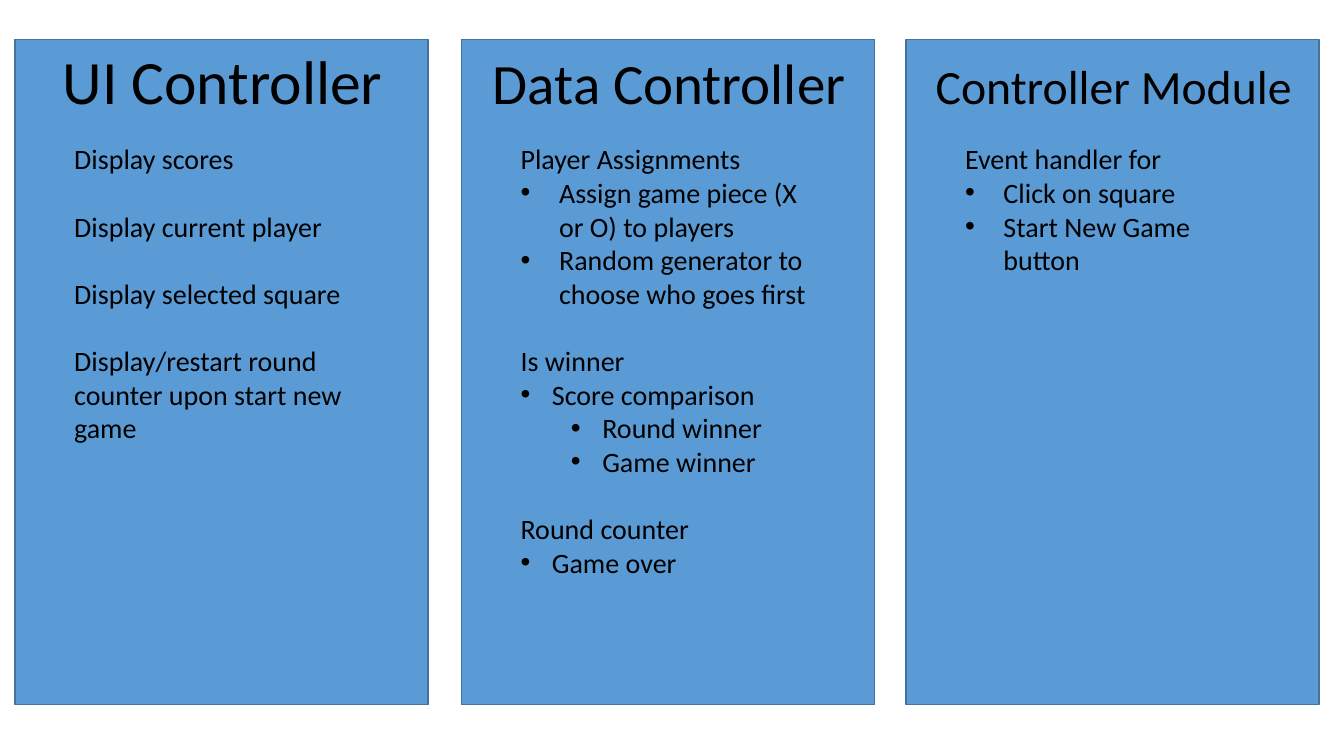
from lxml import etree
from pptx import Presentation
from pptx.dml.color import RGBColor
from pptx.enum.shapes import MSO_SHAPE
from pptx.enum.text import MSO_ANCHOR, PP_ALIGN
from pptx.oxml.ns import qn
from pptx.util import Cm, Pt

RECT = MSO_SHAPE.RECTANGLE
TOP, BOTTOM = MSO_ANCHOR.TOP, MSO_ANCHOR.BOTTOM
CENTER = PP_ALIGN.CENTER
BLUE = RGBColor(0x5B, 0x9B, 0xD5)
DARK_BLUE = RGBColor(0x43, 0x73, 0x9E)
BLACK = RGBColor(0, 0, 0)

# Bullet kinds: level, left margin and hanging indent in cm
WIDE = (0, 0.97, 0.97)
NARROW = (0, 0.79, 0.79)
NESTED = (1, 2.06, 0.79)

# Left edge, title, title size, title top, title line spacing, body height, groups
PANELS = [
    (0.38, "UI Controller", 44, 0.99, 0.9, 8.81, [
        [("Display scores", None)],
        [("Display current player", None)],
        [("Display selected square", None)],
        [("Display/restart round counter upon start new game", None)],
    ]),
    (11.63, "Data Controller", 40.7, 0.97, 0.9, 13.08, [
        [("Player Assignments", None),
         ("Assign game piece (X or O) to players", WIDE),
         ("Random generator to choose who goes first", WIDE)],
        [("Is winner", None),
         ("Score comparison", NARROW),
         ("Round winner", NESTED),
         ("Game winner", NESTED)],
        [("Round counter", None),
         ("Game over", NARROW)],
    ]),
    (22.83, "Controller Module", 34.1, 0.86, 0.7, 3.68, [
        [("Event handler for", None),
         ("Click on square", WIDE),
         ("Start New Game button", WIDE)],
    ]),
]


class Deck:
    font = "Calibri"
    body_size = 20
    group_gap = Pt(24)

    def __init__(self):
        self.prs = Presentation()
        self.prs.slide_width, self.prs.slide_height = Cm(33.87), Cm(19.05)
        self.s = self.prs.slides.add_slide(self.prs.slide_layouts[6])

    def panel(self, left):
        sp = self.s.shapes.add_shape(RECT, Cm(left), Cm(0.99), Cm(10.41), Cm(16.76))
        sp.shadow.inherit = False
        sp.fill.solid()
        sp.fill.fore_color.rgb = BLUE
        sp.line.color.rgb = DARK_BLUE
        sp.line.width = Pt(1)

    def text_frame(self, left, top, width, height, anchor):
        tf = self.s.shapes.add_textbox(Cm(left), Cm(top), Cm(width), Cm(height)).text_frame
        tf.word_wrap = True
        tf.vertical_anchor = anchor
        return tf

    def fill_paragraph(self, p, text, size, **paragraph_format):
        for name, value in paragraph_format.items():
            setattr(p, name, value)
        r = p.add_run()
        r.text = text
        for name, value in {"name": self.font, "size": Pt(size)}.items():
            setattr(r.font, name, value)
        r.font.color.rgb = BLACK

    def title(self, left, top, text, size, spacing):
        tf = self.text_frame(left, top, 9.63, 2.11, BOTTOM)
        self.fill_paragraph(tf.paragraphs[0], text, size,
                            alignment=CENTER, line_spacing=spacing)

    def bullet(self, p, kind):
        level, margin, hang = kind
        p.level = level
        pPr = p._p.get_or_add_pPr()
        pPr.set("marL", str(Cm(margin)))
        pPr.set("indent", str(-Cm(hang)))
        etree.SubElement(pPr, qn("a:buFont")).set("typeface", "Arial")
        etree.SubElement(pPr, qn("a:buChar")).set("char", "•")

    def body(self, left, height, groups):
        """Add groups of lines, with one line's gap between groups."""
        tf = self.text_frame(left, 3.45, 7.95, height, TOP)
        p = tf.paragraphs[0]
        for g, group in enumerate(groups):
            for i, (text, kind) in enumerate(group):
                if g or i:
                    p = tf.add_paragraph()
                gap = self.group_gap if g and not i else Pt(0)
                self.fill_paragraph(p, text, self.body_size, space_before=gap)
                if kind:
                    self.bullet(p, kind)


def main():
    deck = Deck()
    for left, *_ in PANELS:
        deck.panel(left)
    for left, title, size, top, spacing, height, groups in PANELS:
        deck.title(left + 0.42, top, title, size, spacing)
        deck.body(left + 1.24, height, groups)
    deck.prs.save("out.pptx")


if __name__ == "__main__":
    main()
